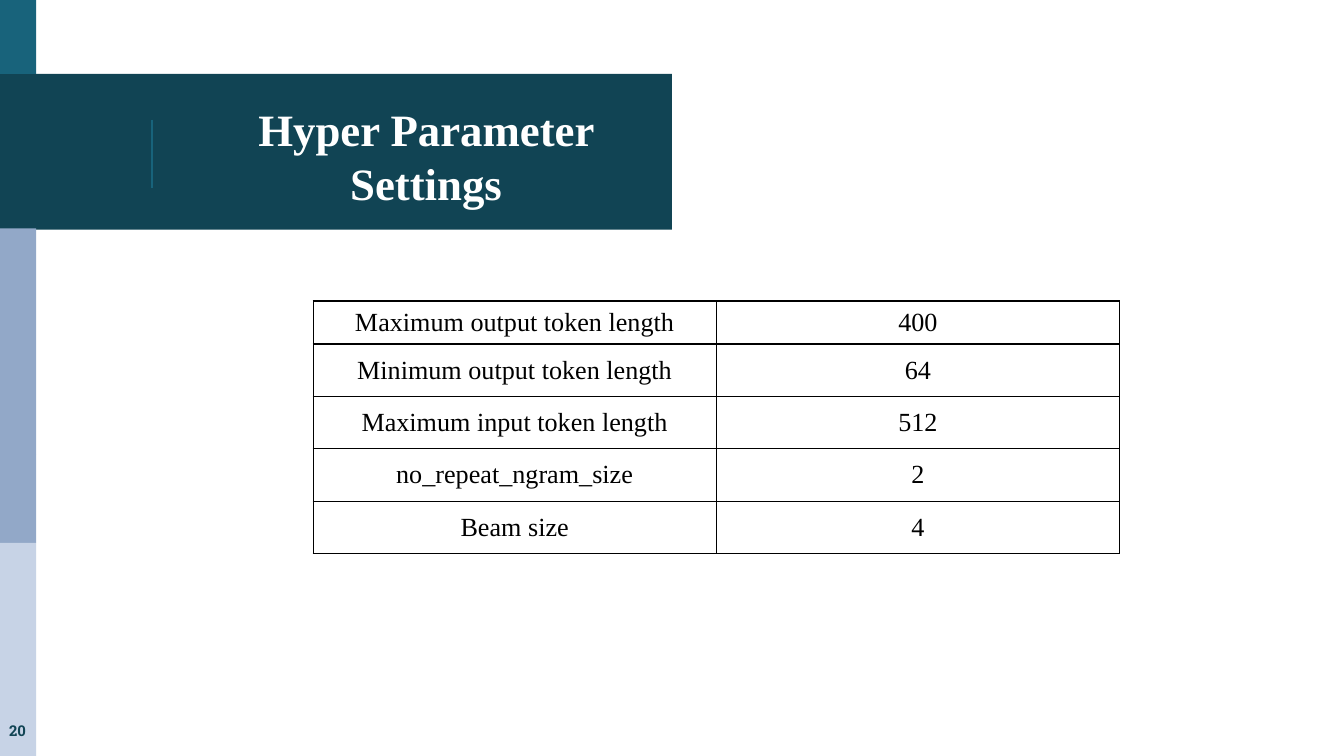
import pptx
import pptx.util
import pptx.dml.color
import pptx.enum.shapes
import pptx.enum.text
import pptx.oxml
import pptx.oxml.ns

Inches = pptx.util.Inches
Pt = pptx.util.Pt
ANCHOR = pptx.enum.text.MSO_ANCHOR

COLORS = {
    "teal": "18637B",
    "dark": "114454",
    "blue": "92A8C8",
    "pale": "C7D3E6",
    "white": "FFFFFF",
    "black": "000000",
}
SERIF = "Times New Roman"
SETTINGS = [
    ("Maximum output token length", "400"),
    ("Minimum output token length", "64"),
    ("Maximum input token length", "512"),
    ("no_repeat_ngram_size", "2"),
    ("Beam size", "4"),
]


def rgb(name):
    return pptx.dml.color.RGBColor.from_string(COLORS[name])


def write_text(tf, text, size, color, font=SERIF, bold=False):
    p = tf.paragraphs[0]
    p.alignment = pptx.enum.text.PP_ALIGN.CENTER
    r = p.add_run()
    r.text = text
    r.font.name = font
    r.font.size = Pt(size)
    r.font.bold = bold
    r.font.color.rgb = rgb(color)


def set_frame(tf, anchor):
    tf.word_wrap = True
    tf.auto_size = pptx.enum.text.MSO_AUTO_SIZE.NONE
    tf.vertical_anchor = anchor
    tf.margin_left = tf.margin_right = Inches(0.1)
    tf.margin_top = tf.margin_bottom = Inches(0.1)


def add_bar(slide, x, y, w, h, color):
    sp = slide.shapes.add_shape(
        pptx.enum.shapes.MSO_SHAPE.RECTANGLE,
        Inches(x), Inches(y), Inches(w), Inches(h))
    sp.shadow.inherit = False
    sp.fill.solid()
    sp.fill.fore_color.rgb = rgb(color)
    sp.line.fill.background()


def add_sidebar(slide, x, w, bands):
    for y, h, color in bands:
        add_bar(slide, x, y, w, h, color)


def add_title_band(slide, x, y, w, h, text):
    add_bar(slide, x, y, w, h, "dark")
    line = slide.shapes.add_connector(
        pptx.enum.shapes.MSO_CONNECTOR.STRAIGHT,
        Inches(x + 1.13), Inches(y + 0.34), Inches(x + 1.13), Inches(y + 0.85))
    line.line.color.rgb = rgb("teal")
    line.line.width = Pt(0.75)
    line.element.spPr.append(pptx.oxml.parse_xml(
        f'<a:effectLst {pptx.oxml.ns.nsdecls("a")}/>'))

    title = slide.shapes.title
    title.left, title.top = Inches(x + 1.34), Inches(y + 0.16)
    title.width, title.height = Inches(w - 1.34), Inches(0.9)
    set_frame(title.text_frame, ANCHOR.MIDDLE)
    write_text(title.text_frame, text, 24, "white", bold=True)
    slide.shapes.element.append(title.element)


def add_borders(cell, color, width):
    tcPr = cell._tc.get_or_add_tcPr()
    for side in ("lnL", "lnR", "lnT", "lnB"):
        tcPr.append(pptx.oxml.parse_xml(
            f'<a:{side} {pptx.oxml.ns.nsdecls("a")} w="{Pt(width)}">'
            f'<a:solidFill><a:srgbClr val="{COLORS[color]}"/></a:solidFill>'
            f'</a:{side}>'))


def add_settings_table(slide, x, y, w, first_h, row_h, rows):
    n_cols = len(rows[0])
    h = first_h + row_h * (len(rows) - 1)
    table = slide.shapes.add_table(
        len(rows), n_cols, Inches(x), Inches(y), Inches(w), Inches(h)).table
    table.first_row = table.horz_banding = False
    for col in table.columns:
        col.width = Inches(w / n_cols)
    for i, values in enumerate(rows):
        table.rows[i].height = Inches(row_h if i else first_h)
        for j, value in enumerate(values):
            cell = table.cell(i, j)
            cell.vertical_anchor = ANCHOR.MIDDLE
            add_borders(cell, "black", 0.75)
            cell.fill.background()
            write_text(cell.text_frame, value, 14, "black")


def add_page_number(slide, x, y, w, h, text):
    sp = slide.shapes.add_textbox(Inches(x), Inches(y), Inches(w), Inches(h))
    set_frame(sp.text_frame, ANCHOR.TOP)
    write_text(sp.text_frame, text, 8, "dark", font="Roboto Slab", bold=True)


def main():
    prs = pptx.Presentation()
    prs.slide_width = Inches(10)
    prs.slide_height = Inches(10 * 9 / 16)
    slide = prs.slides.add_slide(prs.slide_layouts[5])
    add_title_band(slide, 0, 0.55, 5, 1.16, "Hyper Parameter Settings")
    add_sidebar(slide, 0, 0.27, [
        (0, 0.55, "teal"),
        (1.7, 1.68, "blue"),
        (3.38, 0.66, "blue"),
        (4.04, 1.59, "pale"),
    ])
    add_settings_table(slide, 2.33, 2.24, 6, 0.32, 0.39, SETTINGS)
    add_page_number(slide, -0.06, 5.27, 0.38, 0.35, "20")
    prs.save("out.pptx")


if __name__ == "__main__":
    main()
